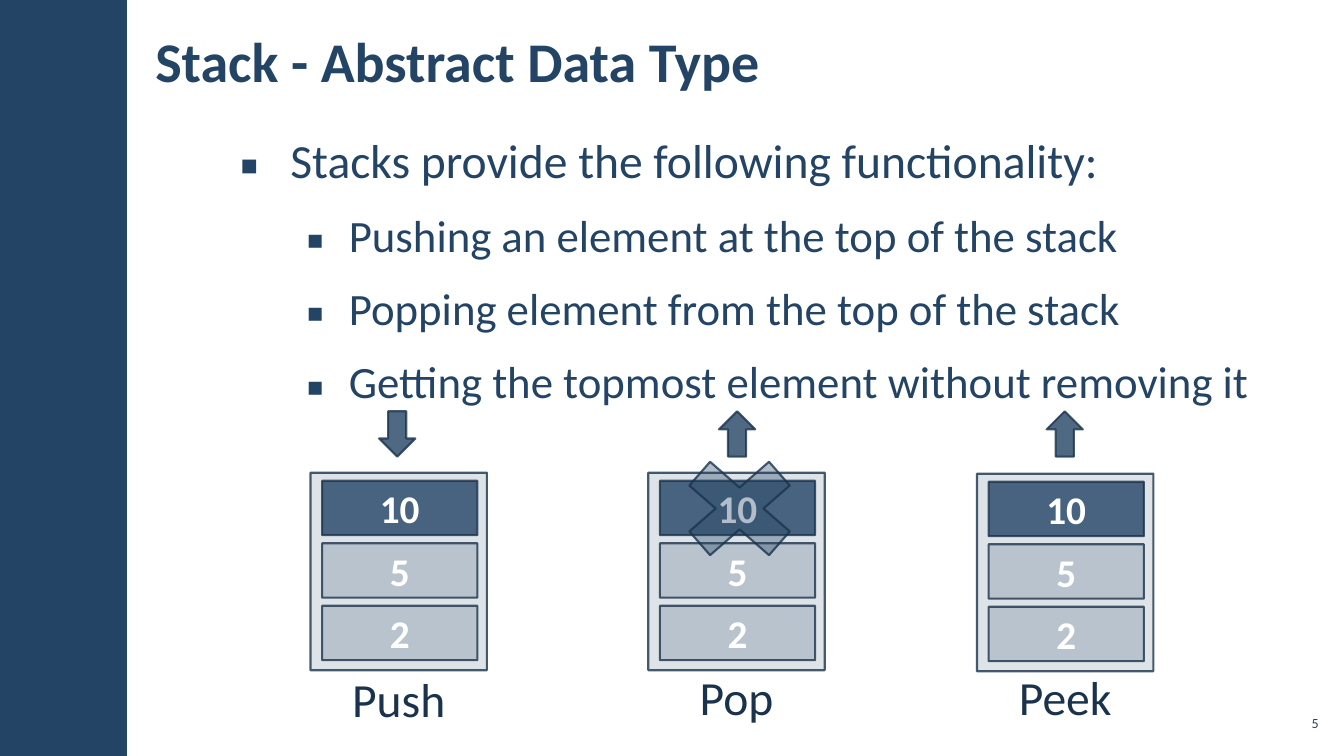
from lxml.etree import SubElement
from pptx import Presentation
from pptx.dml.color import RGBColor
from pptx.enum.shapes import MSO_SHAPE
from pptx.enum.text import MSO_ANCHOR, PP_ALIGN
from pptx.oxml.ns import qn
from pptx.util import Inches, Pt

NAVY = RGBColor(0x23, 0x44, 0x65)
DARK_NAVY = RGBColor(0x1A, 0x33, 0x4C)
WHITE = RGBColor(0xFF, 0xFF, 0xFF)
FONT = "Calibri"

# Content
TITLE = "Stack - Abstract Data Type"
PAGE_NUMBER = "5"
# text, size, left margin, hanging indent
BULLETS = [
    ("Stacks provide the following functionality:", 34, 0.5, 0.5),
    ("Pushing an element at the top of the stack", 32, 1.08, 0.42),
    ("Popping element from the top of the stack", 32, 1.08, 0.42),
    ("Getting the topmost element without removing it", 32, 1.08, 0.42),
]
ELEMENTS = ["10", "5", "2"]
# label, stack left, stack top, label top, arrow left, arrow rotation, crossed out
OPERATIONS = [
    ("Push", 3.08, 4.69, 6.58, 3.76, 0, False),
    ("Pop", 6.43, 4.69, 6.56, 7.13, 180, True),
    ("Peek", 9.69, 4.7, 6.56, 10.38, 180, False),
]

# Sizes in inches
STACK_W, STACK_H = 1.75, 1.96
CELL_W, CELL_H, CELL_PITCH = 1.54, 0.54, 0.62
ARROW_W, ARROW_H, ARROW_TOP = 0.36, 0.45, 4.08
CROSS_W, CROSS_H, CROSS_TOP = 1.52, 1.33, 4.38
LABEL_W, LABEL_H = 1.42, 0.7

prs = Presentation()
prs.slide_width, prs.slide_height = Inches(13.33), Inches(7.5)
slide = prs.slides.add_slide(prs.slide_layouts[6])


def write(frame, text, *, size, color=NAVY, bold=False, align=PP_ALIGN.LEFT,
          anchor=MSO_ANCHOR.TOP, inset=0.12, spaced=False, bullet=None):
    """Write text into a frame; a later call adds a further paragraph."""
    first = not frame.text
    frame.word_wrap = True
    frame.vertical_anchor = anchor
    frame.margin_left = frame.margin_right = Inches(inset)
    frame.margin_top = frame.margin_bottom = Inches(0.04)
    paragraph = frame.paragraphs[0] if first else frame.add_paragraph()
    paragraph.text = text
    paragraph.alignment = align
    if spaced:
        paragraph.line_spacing = 1.05
        paragraph.space_after = Pt(6)
        if not first:
            paragraph.space_before = Pt(6)
    if bullet:
        margin, hanging = bullet
        properties = paragraph._p.get_or_add_pPr()
        properties.set("marL", str(Inches(margin)))
        properties.set("indent", str(-Inches(hanging)))
        SubElement(properties, qn("a:buFont"), typeface="Noto Sans Symbols")
        SubElement(properties, qn("a:buChar"), char="▪")
    font = paragraph.font
    font.name, font.size, font.bold = FONT, Pt(size), bold
    font.color.rgb = color


def add_box(left, top, width, height):
    return slide.shapes.add_textbox(
        Inches(left), Inches(top), Inches(width), Inches(height)).text_frame


def set_opacity(fill_element, percent):
    color = fill_element.find(".//" + qn("a:srgbClr"))
    SubElement(color, qn("a:alpha"), val=str(percent * 1000))


def add_block(kind, left, top, width, height, opacity, outlined=True):
    block = slide.shapes.add_shape(
        kind, Inches(left), Inches(top), Inches(width), Inches(height))
    block.shadow.inherit = False
    block.fill.solid()
    block.fill.fore_color.rgb = NAVY
    set_opacity(block._element.spPr.find(qn("a:solidFill")), opacity)
    if outlined:
        block.line.color.rgb = DARK_NAVY
        block.line.width = Pt(1.5)
        set_opacity(block._element.spPr.find(qn("a:ln")), 80)
    else:
        block.line.fill.background()
    return block


# Side band, title and page number
add_block(MSO_SHAPE.RECTANGLE, 0, 0, 1.26, 7.5, 100, outlined=False)
write(add_box(1.42, 0.11, 9.18, 0.97), TITLE, size=40, bold=True,
      anchor=MSO_ANCHOR.MIDDLE)
write(add_box(12.65, 7, 0.47, 0.34), PAGE_NUMBER, size=10,
      align=PP_ALIGN.RIGHT, anchor=MSO_ANCHOR.MIDDLE, inset=0.04)

# Bullet list
functionality = add_box(2.26, 1.23, 10.86, 6.06)
for text, size, margin, hanging in BULLETS:
    write(functionality, text, size=size, spaced=True, bullet=(margin, hanging))

# Stack diagrams
for label, left, top, label_top, arrow_left, rotation, crossed in OPERATIONS:
    center = left + STACK_W / 2
    add_block(MSO_SHAPE.RECTANGLE, left, top, STACK_W, STACK_H, 15)
    for row, element in enumerate(ELEMENTS):
        cell = add_block(MSO_SHAPE.RECTANGLE, center - CELL_W / 2 + 0.01,
                         top + 0.08 + row * CELL_PITCH, CELL_W, CELL_H,
                         80 if row == 0 else 20)
        write(cell.text_frame, element, size=28, color=WHITE, bold=True,
              align=PP_ALIGN.CENTER, anchor=MSO_ANCHOR.MIDDLE, inset=0.1)
    arrow = add_block(MSO_SHAPE.DOWN_ARROW, arrow_left, ARROW_TOP,
                      ARROW_W, ARROW_H, 80)
    arrow.rotation = rotation
    if crossed:
        add_block(MSO_SHAPE.MATH_MULTIPLY, center - CROSS_W / 2 + 0.03, CROSS_TOP,
                  CROSS_W, CROSS_H, 35)
    write(add_box(center - LABEL_W / 2, label_top, LABEL_W, LABEL_H), label,
          size=34, color=DARK_NAVY, align=PP_ALIGN.CENTER, spaced=True)

prs.save("out.pptx")
